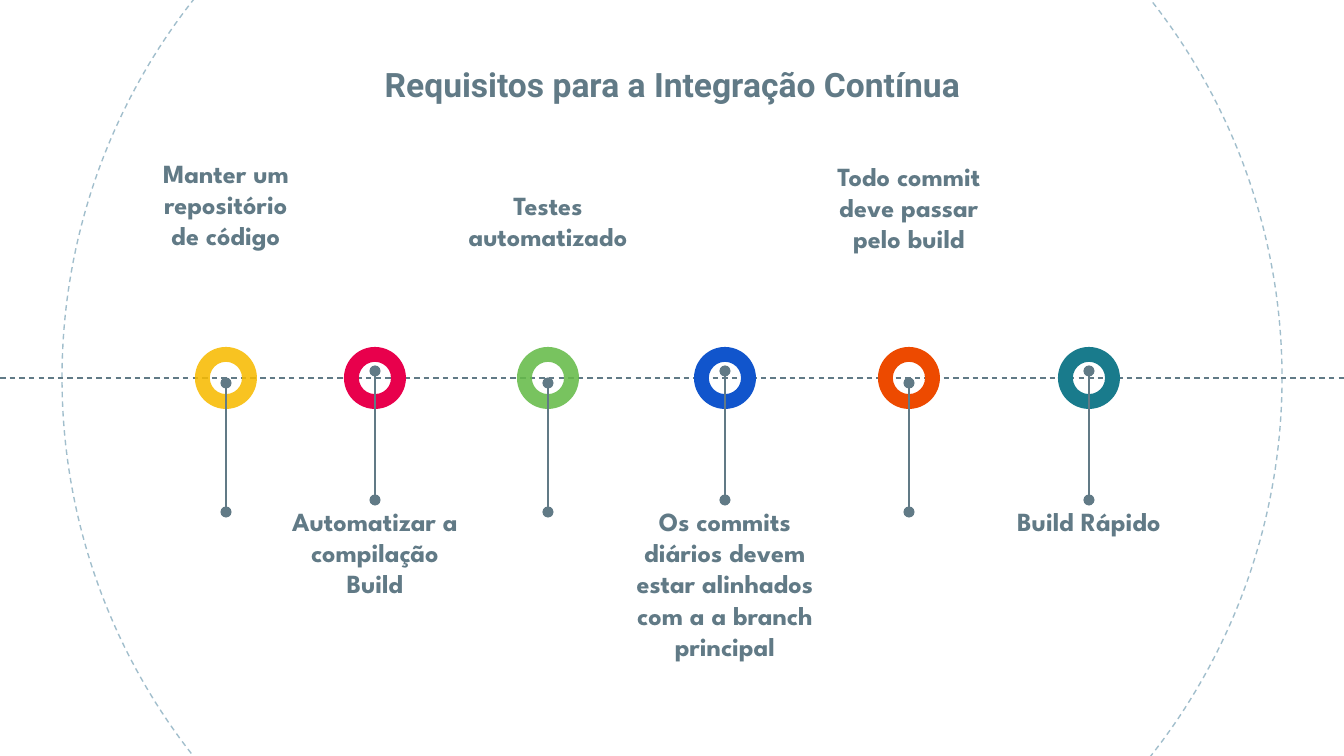
from lxml.etree import SubElement
from pptx import Presentation
from pptx.dml.color import RGBColor
from pptx.enum.dml import MSO_LINE
from pptx.enum.shapes import MSO_CONNECTOR, MSO_SHAPE
from pptx.enum.text import MSO_ANCHOR, PP_ALIGN
from pptx.oxml.ns import qn
from pptx.util import Emu, Pt

EMU_PER_PIXEL = 914400 / 134.4
WIDTH, HEIGHT = 1344, 756
SLATE, PALE_BLUE = "617A86", "A1BECC"
RING_SIZE, PIN_LENGTH = 62, 129

# centre x, colour, opacity %, pin below the axis, (label top, width, height), paragraphs
STEPS = [
    (226, "F8BB00", 87, 5, (144, 183, 114), ["Manter um repositório de código"]),
    (375, "E8004C", 100, -7, (492, 204, 60), ["Automatizar a compilação", "Build"]),
    (548, "65BB48", 87, 5, (176, 204, 79), ["Testes automatizado"]),
    (725, "1155CC", 100, -7, (492, 233, 60),
     ["Os commits diários devem estar alinhados com a a branch principal"]),
    (909, "ED4A00", 100, 5, (147, 204, 79), ["Todo commit deve passar pelo build"]),
    (1089, "197B8C", 100, -7, (492, 233, 60), ["Build Rápido"]),
]


def px(length):
    """Turn pixels into EMU."""
    return Emu(round(length * EMU_PER_PIXEL))


def color(value):
    """Turn a hex string into a colour."""
    return RGBColor.from_string(value)


def add_text(slide, box, paragraphs, font, size, anchor=MSO_ANCHOR.TOP):
    """Add bold, centred, wrapping text in a box."""
    frame = slide.shapes.add_textbox(*map(px, box)).text_frame
    frame.word_wrap = True
    frame.vertical_anchor = anchor
    frame.margin_left = frame.margin_right = px(13)
    frame.margin_top = frame.margin_bottom = px(13)
    for index, text in enumerate(paragraphs):
        paragraph = frame.add_paragraph() if index else frame.paragraphs[0]
        paragraph.alignment = PP_ALIGN.CENTER
        run = paragraph.add_run()
        run.text = text
        run.font.name = font
        run.font.size = Pt(size)
        run.font.bold = True
        run.font.color.rgb = color(SLATE)


def add_line(slide, start, end, width, dash=None, ends=None):
    """Add a straight slate line, optionally dashed or with end marks."""
    line = slide.shapes.add_connector(
        MSO_CONNECTOR.STRAIGHT, *map(px, (*start, *end)))
    line.line.color.rgb = color(SLATE)
    line.line.width = Pt(width)
    if dash:
        line.line.dash_style = dash
    properties = line.line._get_or_add_ln()
    if ends:
        for tag in ("a:headEnd", "a:tailEnd"):
            SubElement(properties, qn(tag), type=ends, w="med", len="med")
    SubElement(line._element.spPr, qn("a:effectLst"))


def add_backdrop(slide, box):
    """Add the large dashed circle and the dashed axis across the box."""
    left, top, width, height = box
    diameter = 1220
    middle = top + height / 2
    circle = slide.shapes.add_shape(
        MSO_SHAPE.OVAL, px(left + (width - diameter) / 2),
        px(middle - diameter / 2), px(diameter), px(diameter))
    circle.shadow.inherit = False
    circle.fill.background()
    circle.line.color.rgb = color(PALE_BLUE)
    circle.line.width = Pt(0.74)
    circle.line.dash_style = MSO_LINE.DASH
    add_line(slide, (left, middle), (left + width, middle), 0.74, MSO_LINE.DASH)


def add_step(slide, center, fill, opacity, pin_offset, label, paragraphs, axis):
    """Add one ring on the axis with its pin and label."""
    ring = slide.shapes.add_shape(
        MSO_SHAPE.DONUT, px(center - RING_SIZE / 2), px(axis - RING_SIZE / 2),
        px(RING_SIZE), px(RING_SIZE))
    ring.adjustments[0] = 0.24
    ring.shadow.inherit = False
    ring.fill.solid()
    ring.fill.fore_color.rgb = color(fill)
    ring.line.fill.background()
    if opacity < 100:
        tint = ring._element.spPr.find(qn("a:solidFill"))[0]
        SubElement(tint, qn("a:alpha"), val=str(opacity * 1000))
    pin_top = axis + pin_offset
    add_line(slide, (center, pin_top), (center, pin_top + PIN_LENGTH), 1.5, ends="oval")
    top, width, height = label
    add_text(slide, (center - width / 2, top, width, height), paragraphs,
             "League Spartan", 14)


def add_timeline_slide(presentation, box):
    """Add the slide with its backdrop, title and steps."""
    slide = presentation.slides.add_slide(presentation.slide_layouts[6])
    left, top, width, height = box
    add_backdrop(slide, box)
    add_text(slide, (left + 285, top + 23, 775, 94),
             ["Requisitos para a Integração Contínua"], "Roboto", 18,
             anchor=MSO_ANCHOR.BOTTOM)
    for center, fill, opacity, pin_offset, label, paragraphs in STEPS:
        label_top, *label_size = label
        add_step(slide, left + center, fill, opacity, pin_offset,
                 (top + label_top, *label_size), paragraphs, top + height / 2)


presentation = Presentation()
presentation.slide_width = px(WIDTH)
presentation.slide_height = px(HEIGHT)
add_timeline_slide(presentation, (0, 0, WIDTH, HEIGHT))
presentation.save("out.pptx")
